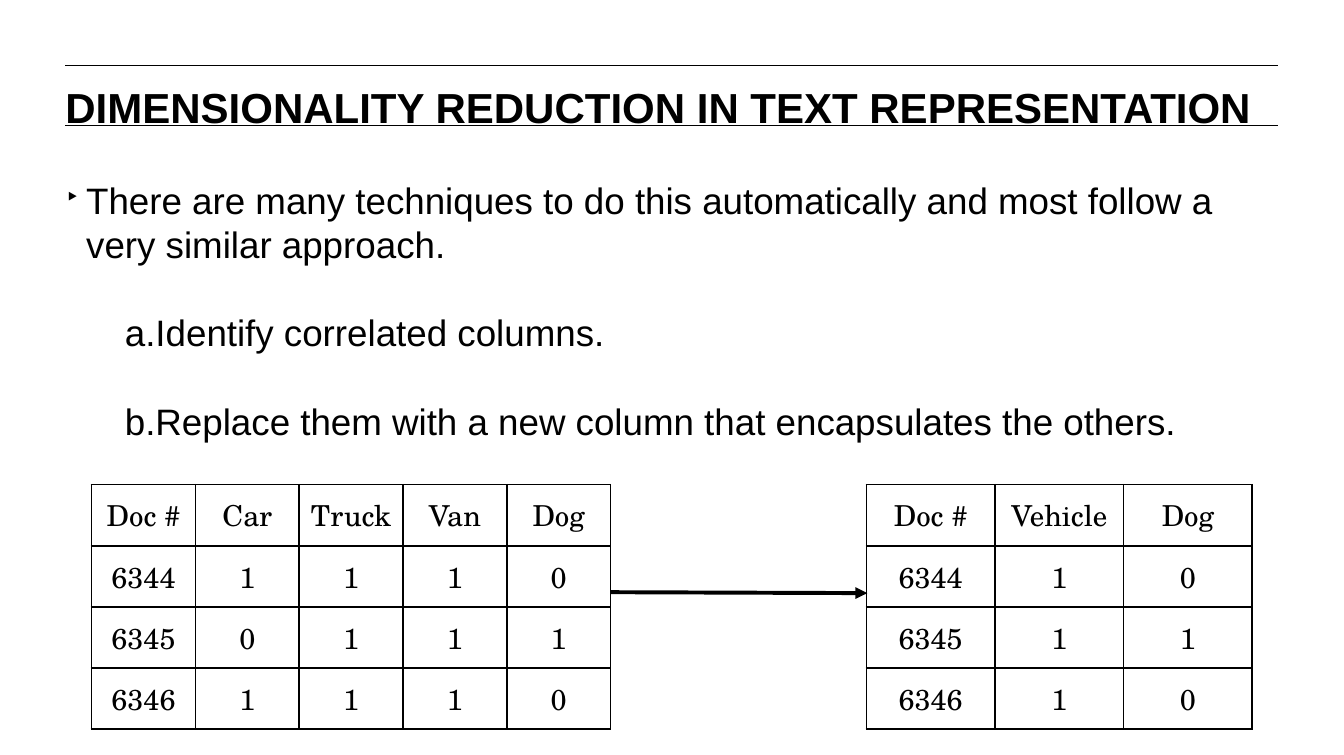
from lxml.etree import SubElement
from pptx import Presentation
from pptx.dml.color import RGBColor
from pptx.enum.shapes import MSO_CONNECTOR
from pptx.enum.text import MSO_ANCHOR, PP_ALIGN
from pptx.oxml.ns import qn
from pptx.util import Pt

COLORS = {"ink": "000000"}
FORMATS = {
    "title": {"name": "Arial", "size": Pt(32), "bold": True},
    "body": {"name": "Arial", "size": Pt(28), "bold": False},
    "cell": {"name": "TeX Gyre Schola", "size": Pt(22), "bold": False},
}
LINE_PITCH = 33.7
POINTS = [
    (0, "There are many techniques to do this automatically and most follow "
        "a very similar approach."),
    (1, "Identify correlated columns."),
    (1, "Replace them with a new column that encapsulates the others."),
]
LEVELS = [
    {"marL": 15.84, "indent": -20.16,
     "bullet": [("a:buSzPct", {"val": "65000"}), ("a:buChar", {"char": "‣"})]},
    {"marL": 51.84, "indent": -6.48,
     "bullet": [("a:buAutoNum", {"type": "alphaLcPeriod"})]},
]
FULL_ROWS = [
    ["Doc #", "Car", "Truck", "Van", "Dog"],
    ["6344", "1", "1", "1", "0"],
    ["6345", "0", "1", "1", "1"],
    ["6346", "1", "1", "1", "0"],
]
REDUCED_ROWS = [
    ["Doc #", "Vehicle", "Dog"],
    ["6344", "1", "0"],
    ["6345", "1", "1"],
    ["6346", "1", "0"],
]


def ink():
    return RGBColor.from_string(COLORS["ink"])


def write(para, text, style):
    span = para.add_run()
    span.text = text
    for key, value in FORMATS[style].items():
        setattr(span.font, key, value)
    span.font.color.rgb = ink()


def add_frame(page, left, top, width, height):
    frame = page.shapes.add_textbox(
        Pt(left), Pt(top), Pt(width), Pt(height)).text_frame
    settings = {"word_wrap": True, "margin_left": 0, "margin_top": 0,
                "margin_right": 0, "margin_bottom": 0}
    for key, value in settings.items():
        setattr(frame, key, value)
    return frame


def add_line(page, start, end, weight, arrow=False):
    line = page.shapes.add_connector(
        MSO_CONNECTOR.STRAIGHT, *[Pt(value) for value in start + end])
    line.line.color.rgb = ink()
    line.line.width = Pt(weight)
    if arrow:
        SubElement(line.line._get_or_add_ln(), qn("a:tailEnd"), type="triangle")
    SubElement(line._element.spPr, qn("a:effectLst"))


def add_title(page, left, top, width, height):
    for edge in (top, top + height):
        add_line(page, (left, edge), (left + width, edge), 0.75)
    frame = add_frame(page, left, top + 12, width, height - 12)
    write(frame.paragraphs[0],
          "DIMENSIONALITY REDUCTION IN TEXT REPRESENTATION", "title")


def add_points(page, left, top, width, height):
    frame = add_frame(page, left, top, width, height)
    for index, (level, text) in enumerate(POINTS):
        para = frame.add_paragraph() if index else frame.paragraphs[0]
        para.level = level
        para.line_spacing = Pt(LINE_PITCH)
        if index:
            para.space_before = Pt(LINE_PITCH)
        properties = para._p.get_or_add_pPr()
        for key in ("marL", "indent"):
            properties.set(key, str(Pt(LEVELS[level][key])))
        for tag, values in LEVELS[level]["bullet"]:
            SubElement(properties, qn(tag), values)
        write(para, text, "body")


def add_borders(cell):
    properties = cell._tc.get_or_add_tcPr()
    for side in ("a:lnL", "a:lnR", "a:lnT", "a:lnB"):
        border = SubElement(properties, qn(side), w=str(Pt(1.5)))
        fill = SubElement(border, qn("a:solidFill"))
        SubElement(fill, qn("a:srgbClr"), val=COLORS["ink"])


def add_grid(page, rows, left, top, width, height):
    table = page.shapes.add_table(
        len(rows), len(rows[0]), Pt(left), Pt(top), Pt(width), Pt(height)).table
    table.first_row = table.horz_banding = False
    for column in table.columns:
        column.width = Pt(width / len(rows[0]))
    for row, values in zip(table.rows, rows):
        row.height = Pt(height / len(rows))
        for cell, text in zip(row.cells, values):
            for side in ("left", "right", "top", "bottom"):
                setattr(cell, f"margin_{side}", Pt(7.2))
            cell.vertical_anchor = MSO_ANCHOR.MIDDLE
            add_borders(cell)
            cell.fill.background()
            para = cell.text_frame.paragraphs[0]
            para.alignment = PP_ALIGN.CENTER
            write(para, text, "cell")


def add_comparison(page, left, top, width, height):
    full_width, reduced_width = 395.5, 294
    reduced_left = left + width - reduced_width
    add_grid(page, FULL_ROWS, left, top, full_width, height)
    add_grid(page, REDUCED_ROWS, reduced_left, top, reduced_width, height)
    add_line(page, (left + full_width, top + 82),
             (reduced_left + 0.7, top + 82.7), 3, arrow=True)


def main():
    deck = Presentation()
    deck.slide_width, deck.slide_height = Pt(1024), Pt(575.5)
    page = deck.slides.add_slide(deck.slide_layouts[6])
    add_title(page, 49.8, 49.8, 924, 46.2)
    add_points(page, 49.8, 135.2, 924, 222)
    add_comparison(page, 69.8, 369.4, 884.3, 186.6)
    deck.save("out.pptx")


if __name__ == "__main__":
    main()
